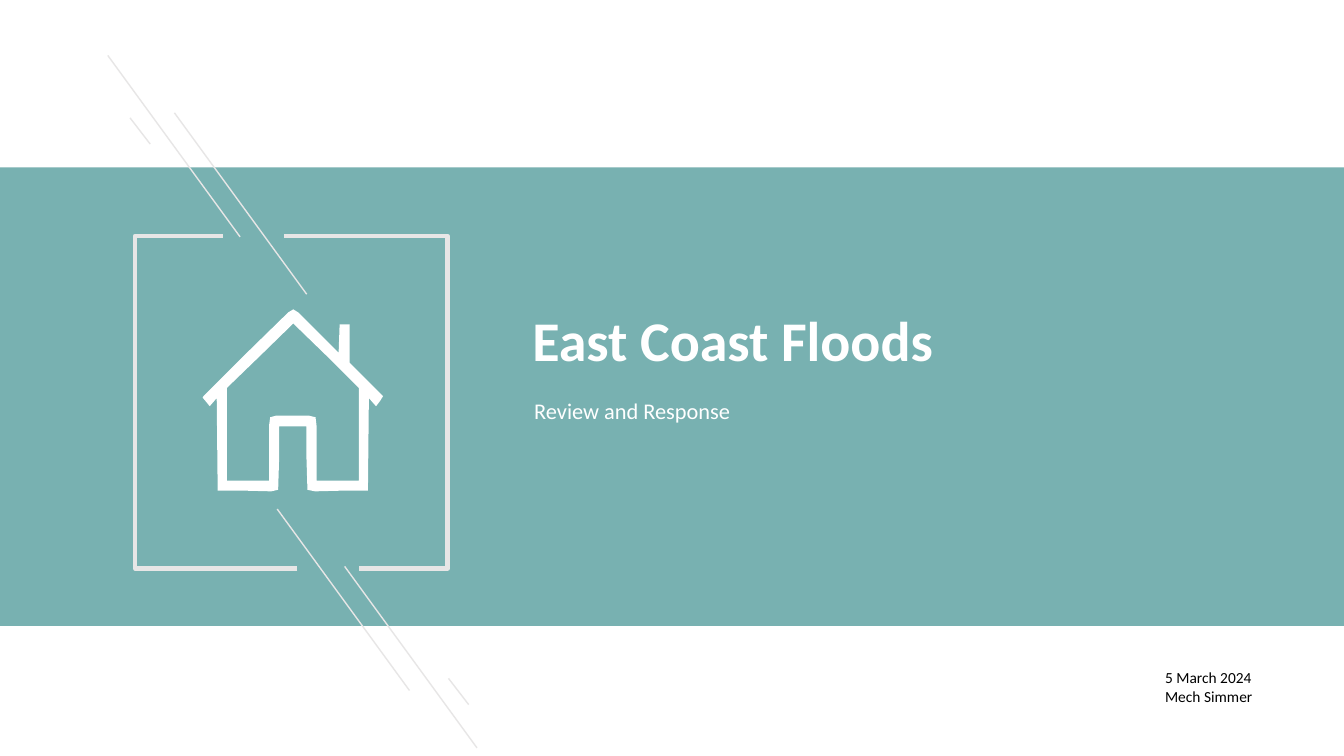
from dataclasses import dataclass

from lxml import etree
from pptx import Presentation
from pptx.dml.color import RGBColor
from pptx.enum import shapes, text
from pptx.oxml.ns import qn
from pptx.util import Pt


@dataclass(frozen=True)
class Theme:
    font: str = "Calibri"
    band: RGBColor = RGBColor(0x57, 0x9E, 0x9E)
    band_alpha: int = 80000
    line: RGBColor = RGBColor(0xE7, 0xE6, 0xE6)
    white: RGBColor = RGBColor(0xFF, 0xFF, 0xFF)
    black: RGBColor = RGBColor(0, 0, 0)
    title: int = 40
    subtitle: int = 16
    details: int = 11


THEME = Theme()

FRAME_LEFT = [(212.4, 406.1), (96.5, 406.1), (96.5, 168.5), (159.1, 168.5)]
FRAME_RIGHT = [(203, 168.5), (319.7, 168.5), (319.7, 406.1), (256.3, 406.1)]

# Each group of slanted lines: the shared run and the upper ends.
SLANTS = [
    ((94.5, 129.6), [(77, 39.6), (124.6, 80.6), (198, 363.6), (246.2, 404.6)]),
    ((14.4, 18.7), [(92.9, 84.2), (320.4, 484.6)]),
]

HOUSE_WALLS = [
    (209.5, 221), (205.9, 223.2), (175, 253.4), (145.4, 283), (144.7, 284),
    (146.9, 286.6), (149.8, 290.2), (154.8, 284.4), (155.5, 350.6),
    (177.1, 350.6), (193.7, 351), (198.7, 349.9), (199.4, 326.9),
    (199.4, 304.6), (218.9, 304.6), (218.9, 326.9), (219.6, 349.9),
    (225, 351), (241.9, 350.6), (262.8, 350.6), (263.5, 284.4),
    (268.6, 290.2), (271.4, 286.6), (273.6, 283), (249.8, 259.2),
    (249.8, 231.8), (242.6, 231.8), (241.9, 252), (228.2, 238.3),
    (213, 223.2),
]
HOUSE_INSIDE = [
    (209.5, 231.1), (233.3, 254.2), (256.3, 277.2), (256.3, 343.4),
    (226.1, 343.4), (226.1, 304), (225.4, 298.1), (221, 297), (197, 297),
    (193, 298.1), (192.2, 304), (192.2, 343.4), (162, 343.4),
    (162, 277.2), (185.8, 254.2),
]


def points(*values):
    return [Pt(v) for v in values]


def set_format(target, **values):
    for name, value in values.items():
        setattr(target, name, value)


def set_fill(sp, color):
    sp.shadow.inherit = False
    sp.fill.solid()
    sp.fill.fore_color.rgb = color
    sp.line.fill.background()


def set_line(sp, width):
    sp.line.color.rgb = THEME.line
    sp.line.width = Pt(width)


def add_band(s, box):
    sp = s.shapes.add_shape(shapes.MSO_SHAPE.RECTANGLE, *points(*box))
    set_fill(sp, THEME.band)
    color = sp.fill._xPr.find(".//" + qn("a:srgbClr"))
    etree.SubElement(color, qn("a:alpha"), val=str(THEME.band_alpha))


def add_outline(s, *contours, close):
    """Draw contours as one shape; an inner contour cuts a hole."""
    first, *others = [[points(*xy) for xy in c] for c in contours]
    builder = s.shapes.build_freeform(*first[0])
    builder.add_line_segments(first[1:], close=close)
    for contour in others:
        builder.move_to(*contour[0])
        builder.add_line_segments(contour[1:], close=close)
    return builder.convert_to_shape()


def add_bracket(s, corners):
    sp = add_outline(s, corners, close=False)
    sp.shadow.inherit = False
    sp.fill.background()
    set_line(sp, 3)


def add_slant(s, x, y, dx, dy):
    sp = s.shapes.add_connector(
        shapes.MSO_CONNECTOR.STRAIGHT, *points(x, y, x + dx, y + dy))
    set_line(sp, 1)
    etree.SubElement(sp._element.spPr, qn("a:effectLst"))


def fill_text(sp, lines, size, color, bold=False, **frame):
    tf = sp.text_frame
    set_format(tf, word_wrap=True, auto_size=text.MSO_AUTO_SIZE.NONE, **frame)
    tf.text = "\n".join(lines)
    for p in tf.paragraphs:
        p.alignment = text.PP_ALIGN.LEFT
        for r in p.runs:
            set_format(r.font, name=THEME.font, size=Pt(size), bold=bold)
            r.font.color.rgb = color


def place_title(s, box, title):
    sp = s.shapes.title
    left, top, width, height = points(*box)
    set_format(sp, left=left, top=top, width=width, height=height)
    fill_text(sp, [title], THEME.title, THEME.white, bold=True,
              vertical_anchor=text.MSO_ANCHOR.MIDDLE)
    s.shapes._spTree.append(sp._element)  # in front of the band


def add_text(s, box, lines, size, color, **frame):
    fill_text(s.shapes.add_textbox(*points(*box)), lines, size, color, **frame)


def main():
    prs = Presentation()
    set_format(prs, slide_width=Pt(960), slide_height=Pt(540))
    s = prs.slides.add_slide(prs.slide_layouts.get_by_name("Title Only"))

    add_band(s, (0, 119.5, 960, 327.6))
    for corners in (FRAME_LEFT, FRAME_RIGHT):
        add_bracket(s, corners)
    for run, starts in SLANTS:
        for start in starts:
            add_slant(s, *start, *run)
    set_fill(add_outline(s, HOUSE_WALLS, HOUSE_INSIDE, close=True), THEME.white)

    place_title(s, (373, 216.7, 470.9, 50.4), "East Coast Floods")
    add_text(s, (381.6, 283.7, 216.7, 30.2), ["Review and Response"],
             THEME.subtitle, THEME.white,
             margin_left=0, margin_top=0, margin_right=0, margin_bottom=0)
    add_text(s, (825.1, 473.8, 108.7, 33.8), ["5 March 2024", "Mech Simmer"],
             THEME.details, THEME.black)
    prs.save("out.pptx")


if __name__ == "__main__":
    main()
